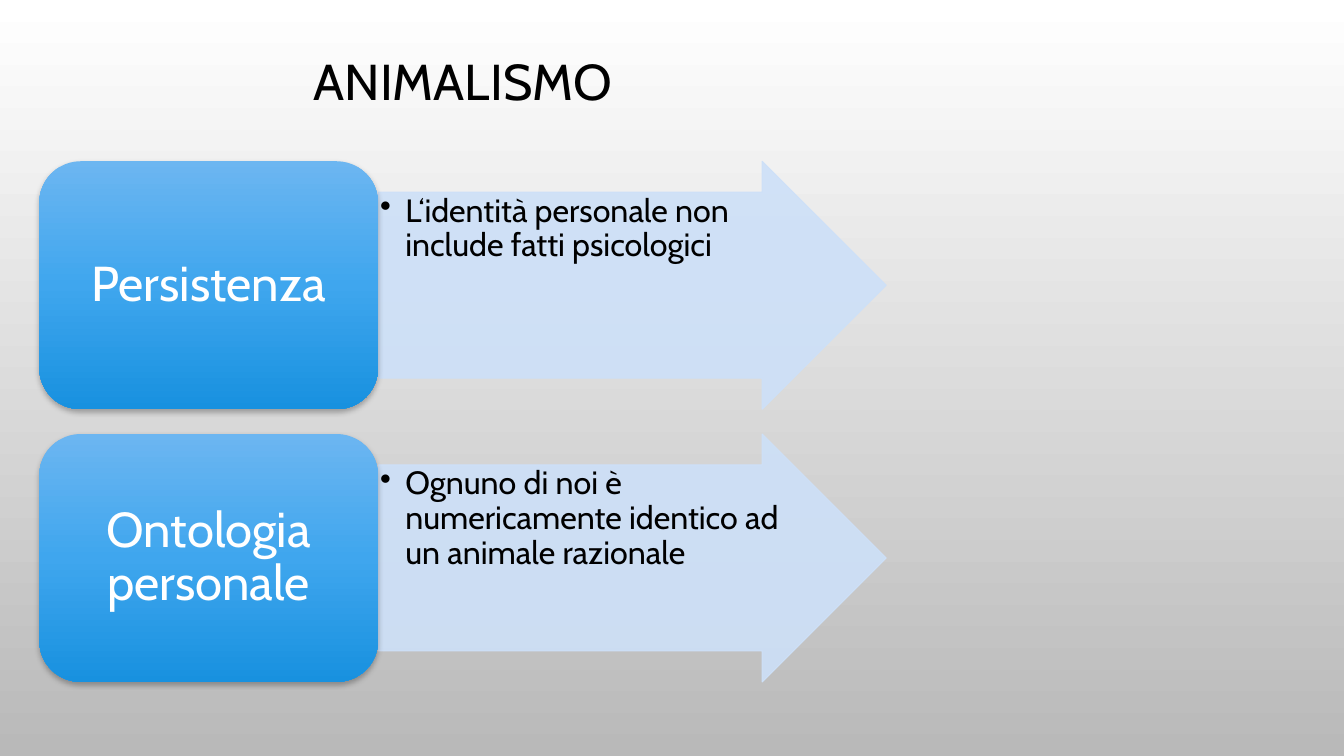
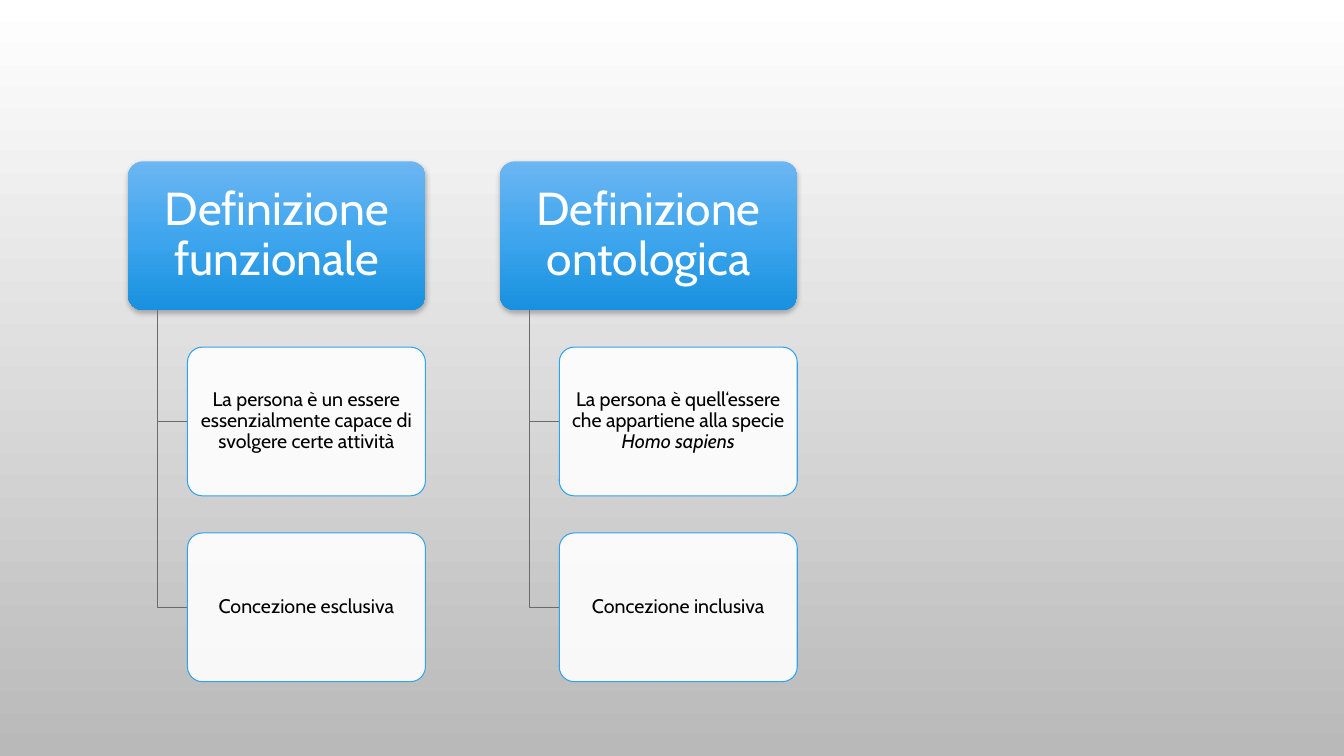
from copy import deepcopy

from lxml import etree
from pptx import Presentation
from pptx import util as u
from pptx.dml.color import RGBColor
from pptx.enum import shapes, text
from pptx.oxml import ns

FONT = "Cabin"
COLORS = {
    "black": "000000", "white": "FFFFFF", "grey": "B9B9B9",
    "top": "6CB6F1", "middle": "3FA6EE", "bottom": "1891DF",
    "arrow": "CDE0F8", "border": "2FA3EE", "branch": "6B6B6B",
}
RGB = {name: RGBColor.from_string(value) for name, value in COLORS.items()}
SHAPE = shapes.MSO_SHAPE
SHADOW = (
    f'<a:effectLst xmlns:a="{ns.nsdecls("a").split(chr(34))[1]}">'
    '<a:outerShdw blurRad="50800" dist="25400" dir="5400000" rotWithShape="0">'
    f'<a:srgbClr val="{COLORS["black"]}"><a:alpha val="28000"/></a:srgbClr>'
    '</a:outerShdw></a:effectLst>'
)


def add_panel(s, kind, box, fill, line=None, adj=()):
    """Add a shape at box (inches): blue gradient with shadow, or 90 % opaque fill."""
    sp = s.shapes.add_shape(kind, *(u.Inches(v) for v in box))
    sp.shadow.inherit = False
    for i, value in enumerate(adj):
        sp.adjustments[i] = value
    if fill == "blue":
        sp.fill.gradient()
        sp.fill.gradient_angle = 270
        stops = sp.fill.gradient_stops
        stops[0].color.rgb, stops[1].color.rgb = RGB["top"], RGB["bottom"]
        first = sp._element.spPr.find(".//" + ns.qn("a:gs"))
        first.addnext(deepcopy(first))
        stop = sp.fill.gradient_stops[1]
        stop.position, stop.color.rgb = 0.5, RGB["middle"]
        effects = sp._element.spPr.find(ns.qn("a:effectLst"))
        effects.getparent().replace(effects, etree.fromstring(SHADOW))
    else:
        sp.fill.solid()
        sp.fill.fore_color.rgb = RGB[fill]
        color = sp._element.spPr.find(ns.qn("a:solidFill"))[0]
        etree.SubElement(color, ns.qn("a:alpha")).set("val", "90000")
    if line:
        sp.line.color.rgb = RGB[line]
        sp.line.width = u.Pt(0.75)
    else:
        sp.line.fill.background()
    return sp


def write(sp, runs, size, color="black", inset=(0.1, 0.05), align="CENTER", anchor="MIDDLE"):
    """Fill a shape with one paragraph of (text, italic) runs."""
    tf = sp.text_frame
    tf.word_wrap = True
    tf.vertical_anchor = text.MSO_ANCHOR[anchor]
    tf.margin_left = tf.margin_right = u.Inches(inset[0])
    tf.margin_top = tf.margin_bottom = u.Inches(inset[1])
    p = tf.paragraphs[0]
    p.alignment = text.PP_ALIGN[align]
    p.line_spacing = 0.9
    for words, italic in runs:
        r = p.add_run()
        r.text = words
        r.font.name, r.font.size = FONT, u.Pt(size)
        r.font.color.rgb = RGB[color]
        if italic:
            r.font.italic = True
    return p


prs = Presentation()
prs.slide_width, prs.slide_height = u.Inches(13.33), u.Inches(7.5)
backdrop = prs.slide_master.background.fill
backdrop.gradient()
backdrop.gradient_angle = 270
for stop, name in zip(backdrop.gradient_stops, ("white", "grey")):
    stop.color.rgb = RGB[name]

TOP = 1.6

# Slide 1: each row is a label (40 % of the width) and an arrow (60 %)
s = prs.slides.add_slide(prs.slide_layouts[5])
left, width, row_h = 0.39, 8.4, 2.46
label_w = 0.4 * width
title = s.shapes.title
title.left, title.top = u.Inches(left), u.Inches(0.25)
title.width, title.height = u.Inches(width), u.Inches(1.17)
write(title, [("ANIMALISMO", False)], 36)

rows = [
    ("Persistenza", "L‘identità personale non include fatti psicologici"),
    ("Ontologia personale", "Ognuno di noi è numericamente identico ad un animale razionale"),
]
for i, (label, thesis) in enumerate(rows):
    y = TOP + i * 1.1 * row_h
    arrow = add_panel(s, SHAPE.RIGHT_ARROW, (left + label_w, y, width - label_w, row_h),
                      "arrow", "arrow", adj=(0.75, 0.5))
    p = write(arrow, [(thesis, False)], 23, inset=(0.02, 0.02), align="LEFT", anchor="TOP")
    pPr = p._p.get_or_add_pPr()
    pPr.set("marL", str(u.Inches(0.25)))
    pPr.set("indent", str(-u.Inches(0.25)))
    etree.SubElement(pPr, ns.qn("a:buChar")).set("char", "•")
    sp = add_panel(s, SHAPE.ROUNDED_RECTANGLE, (left, y, label_w, row_h), "blue")
    write(sp, [(label, False)], 35, "white", (0.15, 0.07))

# Slide 2: each column is a heading with cards branching off below it
s = prs.slides.add_slide(prs.slide_layouts[6])
left, head_w = 1.27, 2.95
card_h = head_w / 2
columns = [
    ("Definizione funzionale", [
        [("La persona è un essere essenzialmente capace di svolgere certe attività", False)],
        [("Concezione esclusiva", False)],
    ]),
    ("Definizione ontologica", [
        [("La persona è quell‘essere che appartiene alla specie ", False), ("Homo sapiens", True)],
        [("Concezione inclusiva", False)],
    ]),
]
for col, (heading, cards) in enumerate(columns):
    x = left + col * 1.25 * head_w
    stem_x, card_x = x + 0.1 * head_w, x + 0.2 * head_w
    sp = add_panel(s, SHAPE.ROUNDED_RECTANGLE, (x, TOP, head_w, card_h), "blue", adj=(0.1,))
    write(sp, [(heading, False)], 33, "white", (0.07, 0.05))
    for row, runs in enumerate(cards, 1):
        y = TOP + row * 1.25 * card_h
        middle = y + card_h / 2
        path_points = [(u.Inches(stem_x), u.Inches(middle)), (u.Inches(card_x), u.Inches(middle))]
        builder = s.shapes.build_freeform(u.Inches(stem_x), u.Inches(TOP + card_h))
        builder.add_line_segments(path_points, close=False)
        branch = builder.convert_to_shape()
        branch.shadow.inherit = False
        branch.fill.background()
        branch.line.color.rgb = RGB["branch"]
        branch.line.width = u.Pt(0.75)
        card = add_panel(s, SHAPE.ROUNDED_RECTANGLE, (card_x, y, 0.8 * head_w, card_h),
                         "white", "border", adj=(0.1,))
        write(card, runs, 14, inset=(0.03, 0.02))

prs.save("out.pptx")
